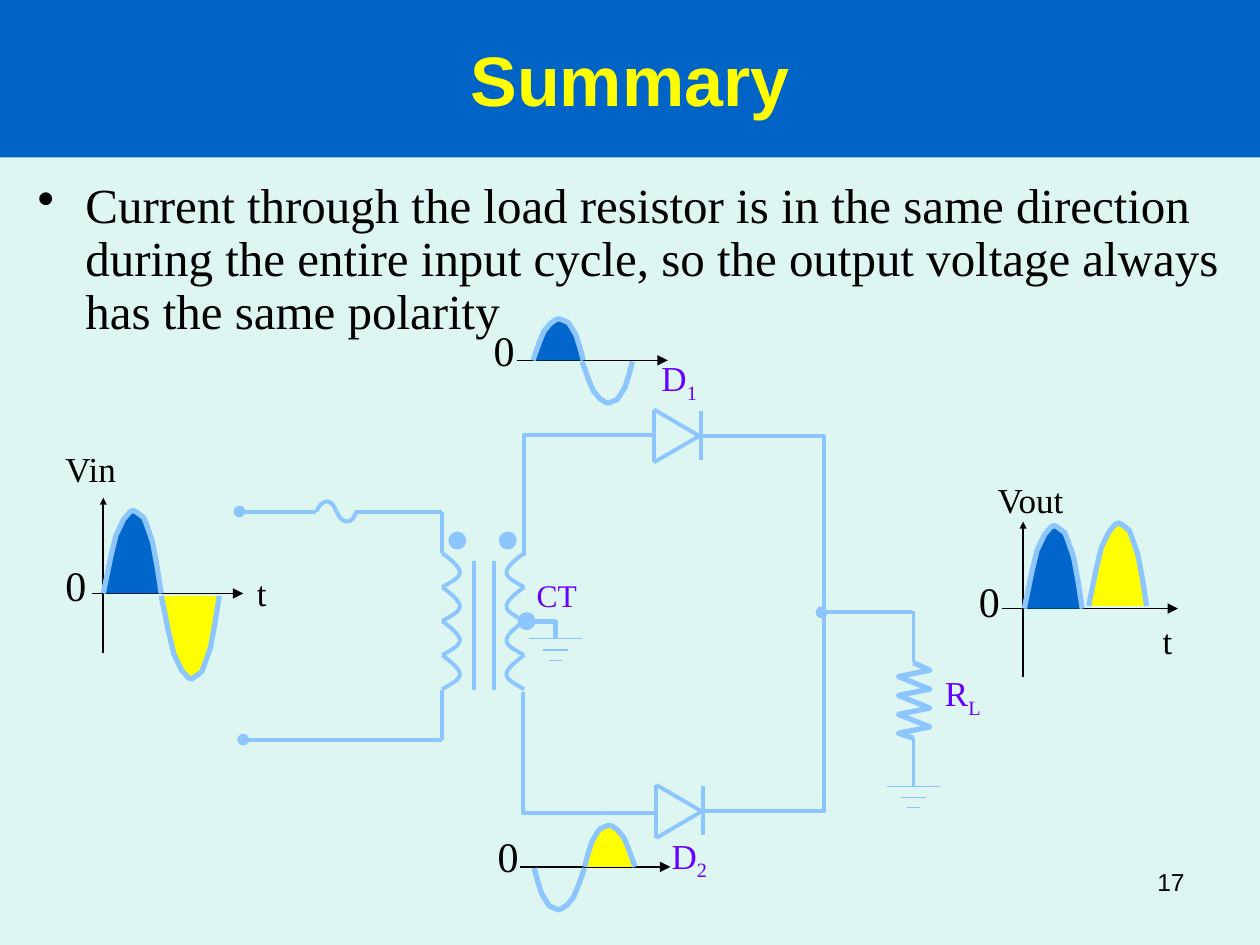
from pptx import Presentation
from pptx import util as u
from pptx.dml.color import RGBColor
from pptx.enum import shapes, text
from pptx.oxml.ns import qn
from lxml import etree

COLORS = {
    "page": "DEF6F1", "band": "0063C6", "heading": "FFFF00", "ink": "000000",
    "wire": "8DC6FF", "label": "6600FF", "blue": "0066CC", "yellow": "FFFF00",
}
SERIF, SANS = "Times New Roman", "Arial"

# Half-cycle outline as fractions of its width and height
HALF_CYCLE = [(0, 0), (.13, .44), (.22, .7), (.35, .89), (.46, .98), (.52, 1),
              (.59, .97), (.7, .91), (.74, .84), (.85, .62), (.93, .32), (1, 0)]
# One transformer turn: two Bezier arcs, as fractions
TURN_ARCS = [[(0, 0), (.5, .19), (1, .41), (1, .56)],
             [(1, .56), (1, .73), (.5, .85), (0, 1)]]


def bezier(arc, t):
    weights = ((1 - t) ** 3, 3 * t * (1 - t) ** 2, 3 * t * t * (1 - t), t ** 3)
    return tuple(sum(w * p[axis] for w, p in zip(weights, arc)) for axis in (0, 1))


TURN = [bezier(arc, step / 8) for arc in TURN_ARCS for step in range(9)]


class Sketch:
    """Holds the style and the current slide."""

    def __init__(self, slide):
        self.slide = slide
        slide.background.fill.solid()
        slide.background.fill.fore_color.rgb = self.color("page")

    def color(self, name):
        return RGBColor.from_string(COLORS[name])

    def style_run(self, run, size, color, font=SERIF, bold=False):
        run.font.size, run.font.name, run.font.bold = u.Pt(size), font, bold
        run.font.color.rgb = self.color(color)

    def title(self, words):
        heading = self.slide.shapes.title
        heading.left, heading.top = u.Inches(0), u.Inches(0)
        heading.width, heading.height = u.Inches(10), u.Inches(1.25)
        heading.fill.solid()
        heading.fill.fore_color.rgb = self.color("band")
        frame = heading.text_frame
        frame.text = words
        frame.auto_size = text.MSO_AUTO_SIZE.NONE
        frame.vertical_anchor = text.MSO_ANCHOR.MIDDLE
        frame.paragraphs[0].alignment = text.PP_ALIGN.CENTER
        self.style_run(frame.paragraphs[0].runs[0], 40, "heading", SANS, True)

    def text(self, words, left, top, width, height, size=20, color="ink", font=SERIF):
        box = self.slide.shapes.add_textbox(*map(u.Inches, (left, top, width, height)))
        box.text_frame.word_wrap = True
        box.text_frame.text = words
        paragraph = box.text_frame.paragraphs[0]
        self.style_run(paragraph.runs[0], size, color, font)
        return box.text_frame

    def bullet(self, words, left, top, width, height):
        paragraph = self.text(words, left, top, width, height, 28).paragraphs[0]
        properties = paragraph._p.get_or_add_pPr()
        properties.set("marL", str(u.Inches(0.38)))
        properties.set("indent", str(u.Inches(-0.38)))
        etree.SubElement(properties, qn("a:buChar")).set("char", "•")
        paragraph.line_spacing = 0.9

    def part_label(self, name, subscript, left, top, width, height, size=20):
        frame = self.text(name, left, top, width, height, size, "label")
        frame.margin_left = frame.margin_right = 0
        frame.margin_top = frame.margin_bottom = 0
        if subscript:
            run = frame.paragraphs[0].add_run()
            run.text = subscript
            self.style_run(run, size, "label")
            run._r.get_or_add_rPr().set("baseline", "-25000")

    def line(self, start, end, weight=2.25, color="wire", head=None, tail=None, size="med"):
        connector = self.slide.shapes.add_connector(
            shapes.MSO_CONNECTOR.STRAIGHT, *map(u.Inches, start + end))
        connector.line.width = u.Pt(weight)
        connector.line.color.rgb = self.color(color)
        outline = connector.line._get_or_add_ln()
        for tag, kind in (("a:headEnd", head), ("a:tailEnd", tail)):
            if kind:
                etree.SubElement(outline, qn(tag), type=kind, w=size, len=size)
        etree.SubElement(connector._element.spPr, qn("a:effectLst"))

    def outline(self, points, weight=2.25, fill=None):
        corners = [(u.Inches(x), u.Inches(y)) for x, y in points]
        builder = self.slide.shapes.build_freeform(*corners[0])
        builder.add_line_segments(corners[1:], close=False)
        self.paint(builder.convert_to_shape(), weight, fill)

    def paint(self, shape, weight, fill):
        shape.shadow.inherit = False
        if fill:
            shape.fill.solid()
            shape.fill.fore_color.rgb = self.color(fill)
        else:
            shape.fill.background()
        shape.line.width = u.Pt(weight)
        shape.line.color.rgb = self.color("wire")

    def scaled(self, profile, x, y, width, height, weight=2.25, fill=None):
        """Negative width or height mirrors the profile."""
        self.outline([(x + fx * width, y + fy * height) for fx, fy in profile], weight, fill)

    def dot(self, left, top):
        spot = self.slide.shapes.add_shape(
            shapes.MSO_SHAPE.OVAL, *map(u.Inches, (left, top, 0.1, 0.1)))
        self.paint(spot, 3, "wire")

    def diode(self, x, y):
        tip = (x + 0.36, y + 0.21)
        self.line((x, y), (x, y + 0.42))
        self.line((x, y), tip)
        self.line((x, y + 0.42), tip)
        self.line((x + 0.37, y + 0.01), (x + 0.37, y + 0.4))

    def ground(self, x, y):
        for half, drop in ((0.21, 0), (0.1, 0.09), (0.05, 0.17)):
            self.line((x - half, y + drop), (x + half, y + drop), 0.75)


def main():
    deck = Presentation()
    deck.slide_width, deck.slide_height = u.Inches(10), u.Inches(7.5)
    sketch = Sketch(deck.slides.add_slide(deck.slide_layouts[5]))

    # Heading, statement and page number
    sketch.title("Summary")
    sketch.bullet("Current through the load resistor is in the same direction during the "
                  "entire input cycle, so the output voltage always has the same polarity",
                  0.2, 1.39, 9.69, 1.44)
    page = sketch.text("17", 7.17, 6.83, 2.33, 0.52, 14, font=SANS)
    page.paragraphs[0].alignment = text.PP_ALIGN.RIGHT

    # Time axes: start, end, height, weight
    for start, end, y, weight in ((0.73, 1.93, 4.71, 0.75), (7.95, 9.35, 4.83, 1),
                                  (4.1, 5.3, 2.86, 0.75), (4.13, 5.32, 6.88, 0.75)):
        sketch.line((start, y), (end, y), weight, "ink", tail="triangle")

    # Voltage axes
    for x, bottom, top in ((0.82, 5.18, 3.95), (8.12, 5.37, 4.14)):
        sketch.line((x, bottom), (x, top), 1, "ink", tail="triangle", size="sm")

    # Half cycles: input, output, D1 and D2
    for x, y, width, height, fill in (
            (0.82, 4.71, 0.46, -0.66, "blue"), (1.28, 4.73, 0.46, 0.66, "yellow"),
            (8.13, 4.83, 0.46, -0.66, "blue"), (8.64, 4.81, 0.46, -0.66, "yellow"),
            (4.23, 2.86, 0.4, -0.33, "blue"), (4.62, 2.87, 0.4, 0.33, None),
            (5.04, 6.88, -0.4, -0.33, "yellow"), (4.64, 6.89, -0.4, 0.33, None)):
        sketch.scaled(HALF_CYCLE, x, y, width, height, 3, fill)

    # Axis names and zero marks
    for name, x, y, width in (("Vin", 0.42, 3.5, 1.09), ("Vout", 7.82, 3.75, 1.09),
                              ("t", 1.94, 4.49, 0.36), ("t", 9.13, 4.87, 0.36)):
        sketch.text(name, x, y, width, 0.43)
    for x, y in ((0.42, 4.39), (7.67, 4.52), (3.82, 2.53), (3.85, 6.54)):
        sketch.text("0", x, y, 0.28, 0.5, 24)

    # Primary circuit with fuse
    sketch.line((1.9, 4.06), (2.51, 4.06), head="oval")
    sketch.scaled(HALF_CYCLE, 2.51, 4.06, 0.16, -0.08)
    sketch.scaled(HALF_CYCLE, 2.67, 4.06, 0.16, 0.08)
    sketch.line((2.82, 4.06), (3.51, 4.06))
    sketch.line((3.51, 4.06), (3.51, 4.39))
    sketch.line((3.51, 5.48), (3.51, 5.87))
    sketch.line((1.93, 5.87), (3.51, 5.87), head="oval")

    # Transformer
    for turn in range(4):
        y = 4.39 + 0.27 * turn
        sketch.scaled(TURN, 3.51, y, 0.14, 0.27)
        sketch.scaled(TURN, 4.16, y, -0.14, 0.27)
    for x in (3.76, 3.92):
        sketch.line((x, 4.45), (x, 5.48))

    # Centre tap
    sketch.line((4.16, 4.93), (4.41, 4.93), 3)
    sketch.line((4.41, 4.92), (4.41, 5.07), 3)
    sketch.ground(4.41, 5.07)
    for x, y in ((3.58, 4.24), (3.98, 4.24), (4.13, 4.88)):
        sketch.dot(x, y)

    # Secondary circuit with diodes
    sketch.diode(5.19, 3.25)
    sketch.diode(5.21, 6.23)
    sketch.outline([(4.16, 4.41), (4.16, 3.45), (5.18, 3.45)])
    sketch.outline([(4.15, 5.49), (4.15, 6.45), (5.2, 6.45)])
    sketch.outline([(5.55, 3.46), (6.54, 3.46), (6.54, 6.44), (5.58, 6.44)])

    # Load resistor
    sketch.line((7.24, 4.86), (6.52, 4.86), tail="oval")
    sketch.line((7.25, 4.85), (7.25, 5.25))
    zigzag = [(x, y + 0.15 * bend) for bend in range(4)
              for x, y in ((7.38, 5.32), (7.13, 5.37))]
    sketch.outline([(7.25, 5.26), *zigzag, (7.25, 5.86)], 3)
    sketch.line((7.25, 5.86), (7.25, 6.24))
    sketch.ground(7.25, 6.24)

    # Part labels
    sketch.part_label("D", "1", 5.25, 2.83, 0.46, 0.37)
    sketch.part_label("D", "2", 5.33, 6.62, 0.46, 0.37)
    sketch.part_label("R", "L", 7.5, 5.33, 0.37, 0.4)
    sketch.part_label("CT", None, 4.26, 4.57, 0.54, 0.22, 18)

    deck.save("out.pptx")


if __name__ == "__main__":
    main()
